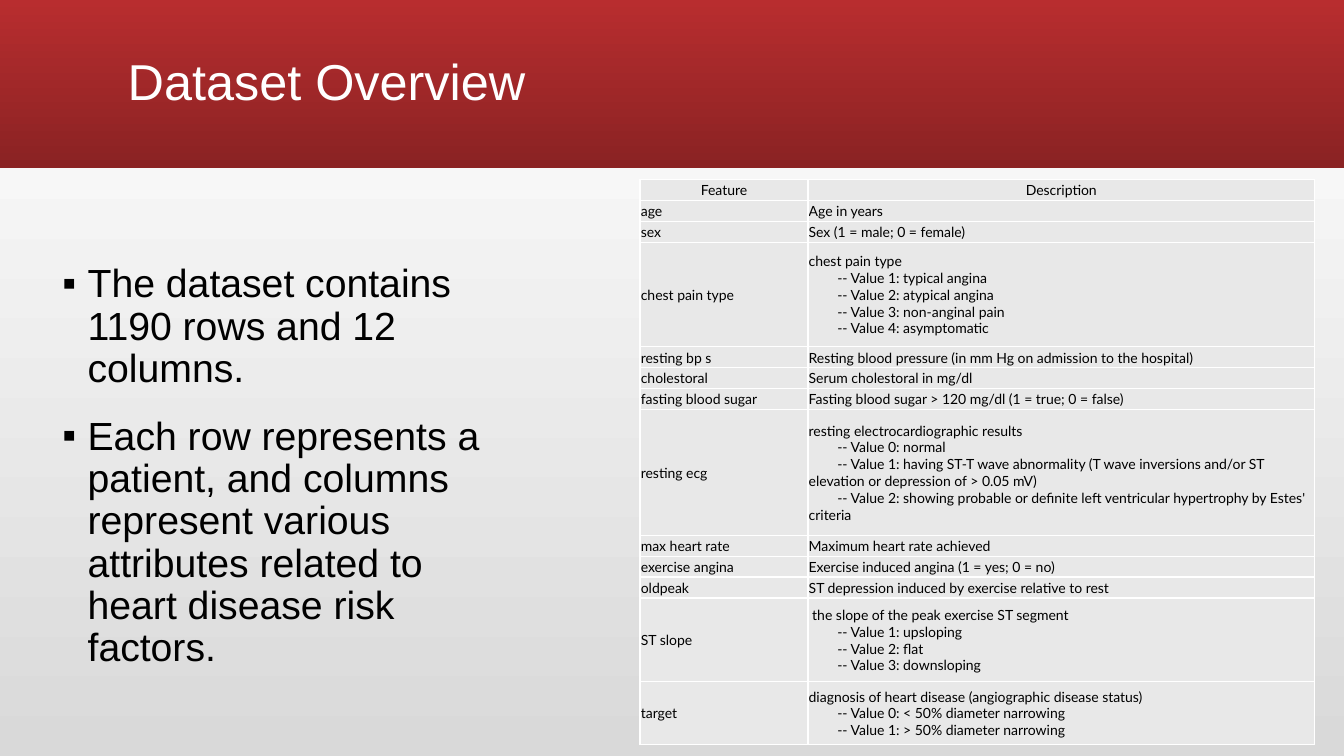
from lxml import etree
from pptx import Presentation
from pptx import util as u
from pptx.dml.color import RGBColor
from pptx.enum import shapes, text
from pptx.oxml import ns

# Content
TITLE = "Dataset Overview"
POINTS = [
    "The dataset contains 1190 rows and 12 columns.",
    "Each row represents a patient, and columns represent various attributes "
    "related to heart disease risk factors.",
]
HEADINGS = ("Feature", "Description")
# Feature, description, listed values, height in single rows
FEATURES = [
    ("age", "Age in years", [], 1),
    ("sex", "Sex (1 = male; 0 = female)", [], 1),
    ("chest pain type", "chest pain type", [
        "-- Value 1: typical angina",
        "-- Value 2: atypical angina",
        "-- Value 3: non-anginal pain",
        "-- Value 4: asymptomatic"], 5),
    ("resting bp s", "Resting blood pressure (in mm Hg on admission to the hospital)", [], 1),
    ("cholestoral", "Serum cholestoral in mg/dl", [], 1),
    ("fasting blood sugar", "Fasting blood sugar > 120 mg/dl (1 = true; 0 = false)", [], 1),
    ("resting ecg", "resting electrocardiographic results", [
        "-- Value 0: normal",
        "-- Value 1: having ST-T wave abnormality (T wave inversions and/or ST "
        "elevation or depression of > 0.05 mV)",
        "-- Value 2: showing probable or definite left ventricular hypertrophy "
        "by Estes' criteria"], 6),
    ("max heart rate", "Maximum heart rate achieved", [], 1),
    ("exercise angina", "Exercise induced angina (1 = yes; 0 = no)", [], 1),
    ("oldpeak", "ST depression induced by exercise relative to rest", [], 1),
    ("ST slope", " the slope of the peak exercise ST segment", [
        "-- Value 1: upsloping",
        "-- Value 2: flat",
        "-- Value 3: downsloping"], 4),
    ("target", "diagnosis of heart disease (angiographic disease status)", [
        "-- Value 0: < 50% diameter narrowing",
        "-- Value 1: > 50% diameter narrowing"], 3),
]

# Style and measures
WHITE = RGBColor(0xFF, 0xFF, 0xFF)
BLACK = RGBColor(0x00, 0x00, 0x00)
GREY = RGBColor(0xD9, 0xD9, 0xD9)
CELL_GREY = RGBColor(0xE8, 0xE8, 0xE8)
RED = RGBColor(0xB8, 0x2D, 0x2F)
DARK_RED = RGBColor(0x8A, 0x22, 0x23)
PAGE_WIDTH, PAGE_HEIGHT = u.Cm(33.87), u.Cm(19.05)
TABLE_LEFT, TABLE_TOP, TABLE_HEIGHT = u.Cm(16.13), u.Cm(4.52), u.Cm(14.25)
COLUMN_WIDTHS = (u.Cm(4.23), u.Cm(12.77))
CELL_INSET = u.Cm(0.02)
VALUE_INDENT = u.Cm(0.72)
BULLET_INDENT = u.Cm(0.64)


def set_gradient(fill, first, last, angle):
    fill.gradient()
    fill.gradient_angle = angle
    for stop, color in zip(fill.gradient_stops, (first, last)):
        stop.color.rgb = color


def add_span(para, words, size, font, color):
    span = para.add_run()
    span.text = words
    span.font.size = u.Pt(size)
    span.font.name = font
    span.font.color.rgb = color


def add_text_box(page, left, top, width, height, anchor):
    box = page.shapes.add_textbox(u.Cm(left), u.Cm(top), u.Cm(width), u.Cm(height))
    box.text_frame.word_wrap = True
    box.text_frame.vertical_anchor = anchor
    return box.text_frame


def add_lines(frame, count):
    return [frame.paragraphs[0]] + [frame.add_paragraph() for _ in range(count - 1)]


def set_borders(cell):
    props = cell._tc.get_or_add_tcPr()
    for place, side in enumerate(("lnL", "lnR", "lnT", "lnB")):
        line = etree.Element(ns.qn("a:" + side), w=str(u.Pt(1)))
        fill = etree.SubElement(line, ns.qn("a:solidFill"))
        etree.SubElement(fill, ns.qn("a:srgbClr"), val=str(WHITE))
        props.insert(place, line)


def fill_cell(cell, lines, align):
    cell.fill.solid()
    cell.fill.fore_color.rgb = CELL_GREY
    cell.margin_left = cell.margin_right = cell.margin_top = CELL_INSET
    cell.margin_bottom = 0
    cell.vertical_anchor = text.MSO_ANCHOR.MIDDLE
    set_borders(cell)
    for number, para in enumerate(add_lines(cell.text_frame, len(lines))):
        para.alignment = align
        if number:
            para._p.get_or_add_pPr().set("indent", str(VALUE_INDENT))
        add_span(para, lines[number], 10, "Lato", BLACK)


def main():
    deck = Presentation()
    deck.slide_width, deck.slide_height = PAGE_WIDTH, PAGE_HEIGHT
    page = deck.slides.add_slide(deck.slide_layouts[6])
    set_gradient(page.background.fill, GREY, WHITE, 90)

    # Title band
    band = page.shapes.add_shape(
        shapes.MSO_SHAPE.RECTANGLE, 0, 0, PAGE_WIDTH, u.Cm(4.23))
    band.shadow.inherit = False
    band.line.fill.background()
    set_gradient(band.fill, RED, DARK_RED, 270)
    title = add_text_box(page, 2.97, 0.28, 27.94, 3.68, text.MSO_ANCHOR.MIDDLE)
    title.paragraphs[0].line_spacing = 0.9
    add_span(title.paragraphs[0], TITLE, 36, "Arial", WHITE)

    # Bullet points
    body = add_text_box(page, 1.32, 6.53, 11.51, 10.64, text.MSO_ANCHOR.TOP)
    for para, words in zip(add_lines(body, len(POINTS)), POINTS):
        para.line_spacing = 0.9
        para.space_before = u.Pt(18)
        props = para._p.get_or_add_pPr()
        props.set("marL", str(BULLET_INDENT))
        props.set("indent", str(-BULLET_INDENT))
        etree.SubElement(props, ns.qn("a:buFont"), typeface="Arial")
        etree.SubElement(props, ns.qn("a:buChar"), char="▪")
        add_span(para, words, 28, "Arial", BLACK)

    # Feature table
    heights = [1] + [feature[3] for feature in FEATURES]
    table = page.shapes.add_table(
        len(heights), len(HEADINGS), TABLE_LEFT, TABLE_TOP,
        sum(COLUMN_WIDTHS), TABLE_HEIGHT).table
    table.first_row = table.horz_banding = False
    for column, width in zip(table.columns, COLUMN_WIDTHS):
        column.width = width
    for row, height in zip(table.rows, heights):
        row.height = TABLE_HEIGHT * height // sum(heights)
    for cell, heading in zip(table.rows[0].cells, HEADINGS):
        fill_cell(cell, [heading], text.PP_ALIGN.CENTER)
    for number, (name, description, values, _) in enumerate(FEATURES, 1):
        fill_cell(table.cell(number, 0), [name], text.PP_ALIGN.LEFT)
        fill_cell(table.cell(number, 1), [description] + values, text.PP_ALIGN.LEFT)

    deck.save("out.pptx")


if __name__ == "__main__":
    main()
